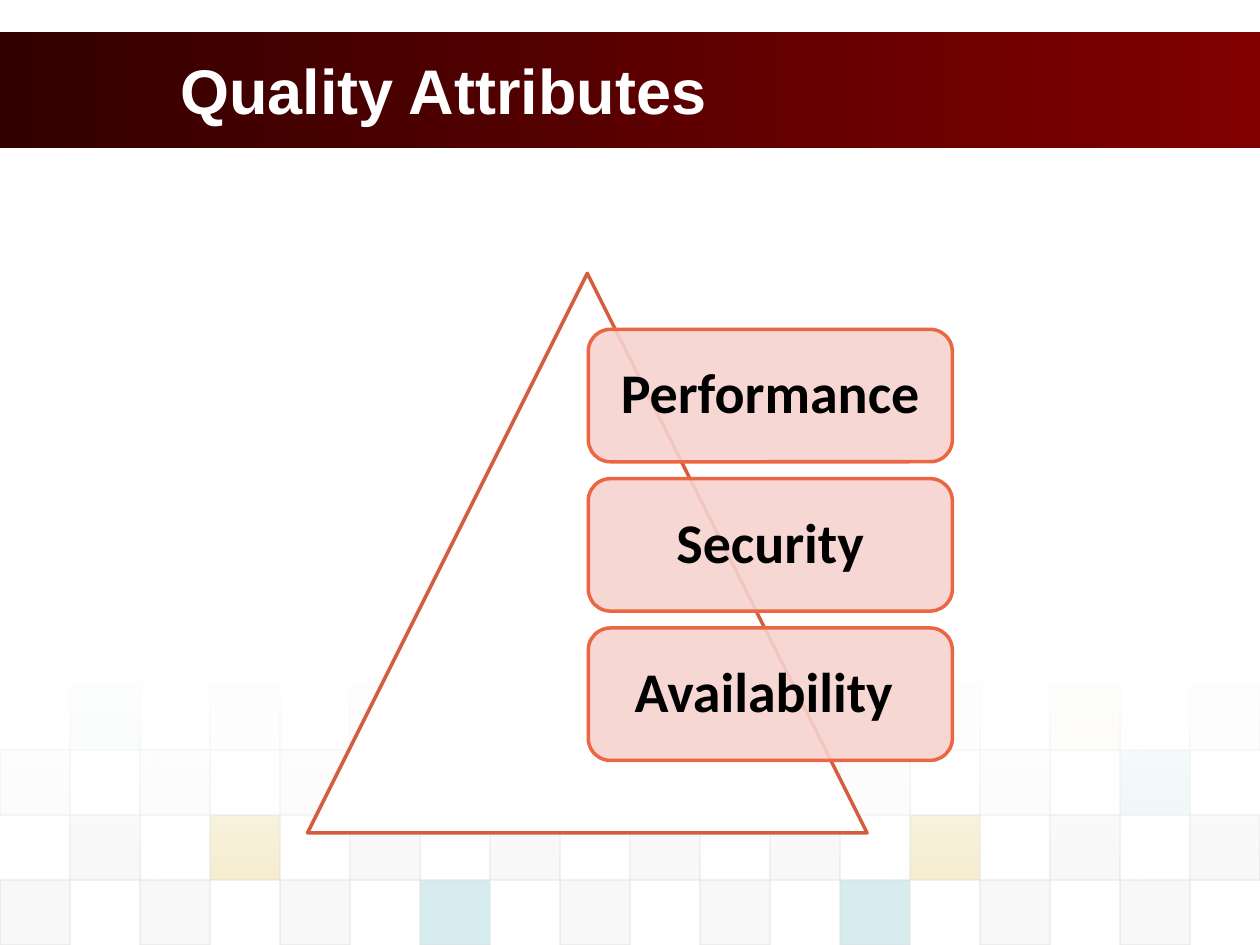
from lxml.etree import SubElement
from pptx import Presentation
from pptx.dml.color import RGBColor
from pptx.enum.shapes import MSO_SHAPE
from pptx.enum.text import MSO_ANCHOR, MSO_AUTO_SIZE, PP_ALIGN
from pptx.oxml.ns import qn
from pptx.util import Cm, Pt

BLACK = RGBColor(0x00, 0x00, 0x00)
WHITE = RGBColor(0xFF, 0xFF, 0xFF)
DARK_RED = RGBColor(0x33, 0x00, 0x00)
RED = RGBColor(0x80, 0x00, 0x00)
GRAY = RGBColor(0xDD, 0xDD, 0xDD)
LIGHT_GRAY = RGBColor(0xEA, 0xEA, 0xEA)
TEAL = RGBColor(0x38, 0xA3, 0xB2)
GOLD = RGBColor(0xD3, 0xA9, 0x11)
PINK = RGBColor(0xF7, 0xD3, 0xCF)
ORANGE = RGBColor(0xEB, 0x67, 0x43)
RUST = RGBColor(0xD5, 0x5D, 0x3D)

TITLE = "Quality Attributes"
# The trailing space is part of the centred label.
ATTRIBUTES = ["Performance", "Security", "Availability "]
TITLE_FONT = {"name": "Arial", "size": Pt(36), "bold": True}
LABEL_FONT = {"name": "Calibri", "size": Pt(32), "bold": True}

# Checkerboard rows: first column, opacity in percent, one letter per tile
TILE_COLORS = {"g": GRAY, "l": LIGHT_GRAY, "t": TEAL, "y": GOLD}
TILE_ROWS = [
    (1, 5, "tlltgtlyl"),
    (0, 10, "ggggygggt"),
    (1, 20, "gyggggygg"),
    (0, 20, "gggtggtgg"),
]

SLIDE_WIDTH, SLIDE_HEIGHT = 25.4, 19.05
BAND_TOP, BAND_HEIGHT = 0.64, 2.34
TILE_WIDTH, TILE_HEIGHT = SLIDE_WIDTH / 18, 1.31
FADE_TOP, FADE_HEIGHT = 13.64, 4.11
TRIANGLE_BOX = (6.2, 5.51, 11.28, 11.28)
LABEL_LEFT, LABEL_TOP, LABEL_WIDTH, LABEL_HEIGHT = 11.86, 6.64, 7.34, 2.67
LABEL_PITCH = 3.01


def set_opacity(fill_element, percent):
    """Make every RGB colour below the given element partly transparent."""
    for color in fill_element.iter(qn("a:srgbClr")):
        SubElement(color, qn("a:alpha"), val=str(percent * 1000))


def format_font(font, values, color):
    for name, value in values.items():
        setattr(font, name, value)
    font.color.rgb = color


def add_box(slide, preset, box, fill_color=None, opacity=100,
            line_color=None, line_width=2, line_opacity=100):
    shape = slide.shapes.add_shape(preset, *map(Cm, box))
    shape.shadow.inherit = False
    if fill_color is not None:
        shape.fill.solid()
        shape.fill.fore_color.rgb = fill_color
        set_opacity(shape.fill._xPr.find(qn("a:solidFill")), opacity)
    if line_color is None:
        shape.line.fill.background()
    else:
        shape.line.color.rgb = line_color
        shape.line.width = Pt(line_width)
        set_opacity(shape.line._ln, line_opacity)
    return shape


def add_gradient_box(slide, box, colors, angle):
    shape = add_box(slide, MSO_SHAPE.RECTANGLE, box)
    shape.fill.gradient()
    shape.fill.gradient_angle = angle
    for stop, color in zip(shape.fill.gradient_stops, colors):
        stop.color.rgb = color
    return shape


def add_checkerboard(slide):
    top = SLIDE_HEIGHT - len(TILE_ROWS) * TILE_HEIGHT
    for row, (first_column, opacity, letters) in enumerate(TILE_ROWS):
        for index, letter in enumerate(letters):
            left = (first_column + 2 * index) * TILE_WIDTH
            box = (left, top + row * TILE_HEIGHT, TILE_WIDTH, TILE_HEIGHT)
            add_box(slide, MSO_SHAPE.RECTANGLE, box, TILE_COLORS[letter],
                    opacity, GRAY, 0.75, 60)

    fade_box = (0, FADE_TOP, SLIDE_WIDTH, FADE_HEIGHT)
    fade = add_gradient_box(slide, fade_box, (WHITE, WHITE), 270)
    stops = fade.fill._xPr.iter(qn("a:gs"))
    for stop, opacity in zip(stops, (90, 0)):
        set_opacity(stop, opacity)


def add_title(slide):
    title = slide.shapes.title
    title.left, title.top = Cm(3.38), Cm(BAND_TOP)
    title.width, title.height = Cm(20.52), Cm(BAND_HEIGHT)
    slide.shapes._spTree.append(title._element)  # in front of the band
    frame = title.text_frame
    frame.text = TITLE
    frame.auto_size = MSO_AUTO_SIZE.NONE
    frame.vertical_anchor = MSO_ANCHOR.MIDDLE
    paragraph = frame.paragraphs[0]
    paragraph.alignment = PP_ALIGN.LEFT
    format_font(paragraph.runs[0].font, TITLE_FONT, WHITE)


def add_attribute(slide, index, text):
    box = (LABEL_LEFT, LABEL_TOP + index * LABEL_PITCH, LABEL_WIDTH, LABEL_HEIGHT)
    shape = add_box(slide, MSO_SHAPE.ROUNDED_RECTANGLE, box, PINK, 90, ORANGE)
    frame = shape.text_frame
    frame.text = text
    frame.word_wrap = True
    frame.vertical_anchor = MSO_ANCHOR.MIDDLE
    for side in ("left", "top", "right", "bottom"):
        setattr(frame, f"margin_{side}", Cm(0.33))
    paragraph = frame.paragraphs[0]
    paragraph.alignment = PP_ALIGN.CENTER
    paragraph.line_spacing = 0.9
    format_font(paragraph.runs[0].font, LABEL_FONT, BLACK)


def main():
    presentation = Presentation()
    presentation.slide_width = Cm(SLIDE_WIDTH)
    presentation.slide_height = Cm(SLIDE_HEIGHT)
    slide = presentation.slides.add_slide(presentation.slide_layouts[5])

    band_box = (0, BAND_TOP, SLIDE_WIDTH, BAND_HEIGHT)
    add_gradient_box(slide, band_box, (DARK_RED, RED), 0)
    add_checkerboard(slide)
    add_title(slide)
    add_box(slide, MSO_SHAPE.ISOSCELES_TRIANGLE, TRIANGLE_BOX, WHITE,
            line_color=RUST)
    for index, text in enumerate(ATTRIBUTES):
        add_attribute(slide, index, text)
    presentation.save("out.pptx")


if __name__ == "__main__":
    main()
